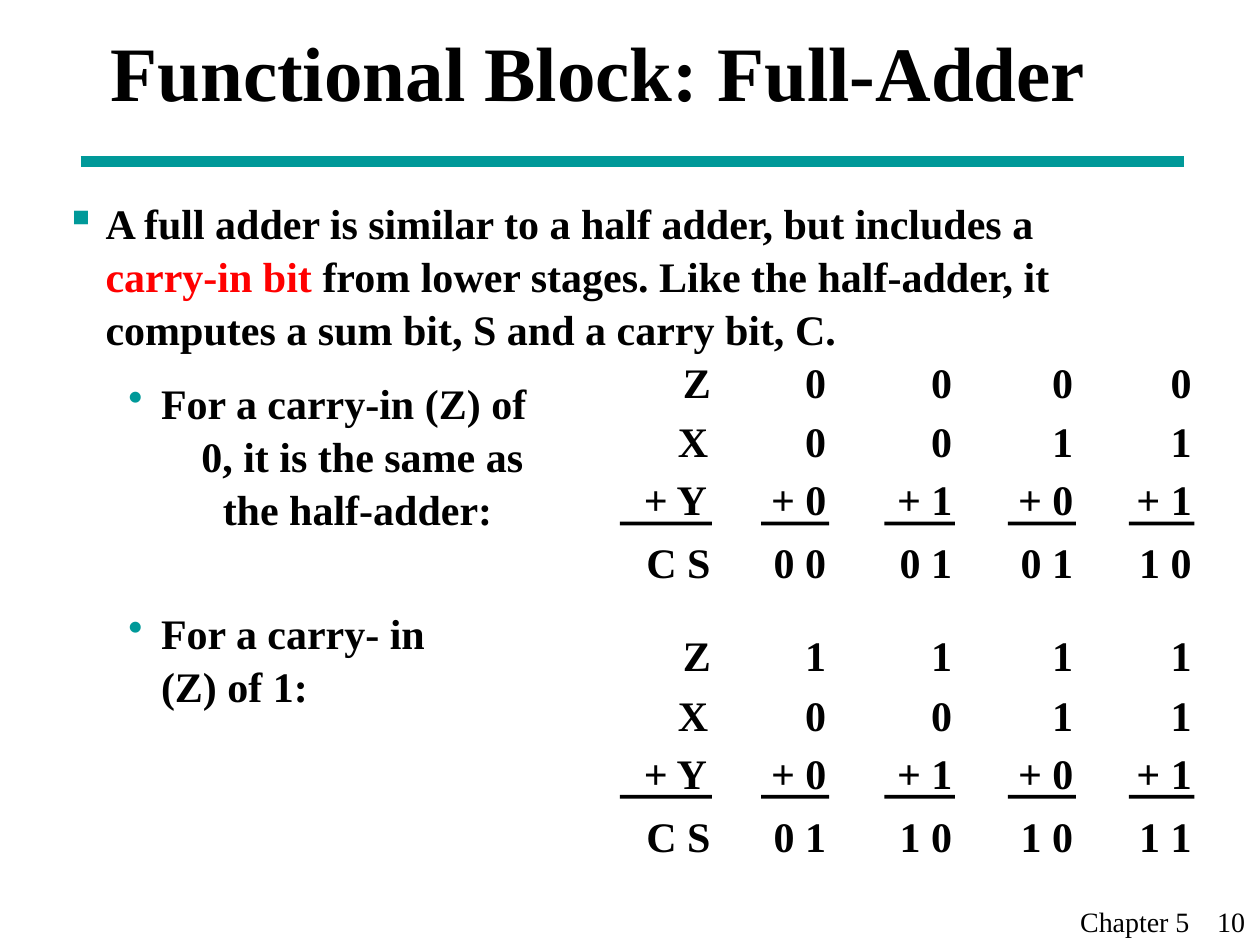
from pptx import Presentation
from pptx.util import Inches, Pt
from pptx.dml.color import RGBColor
from pptx.enum.shapes import MSO_CONNECTOR, MSO_SHAPE
from pptx.enum.text import MSO_ANCHOR, PP_ALIGN
from pptx.oxml.ns import qn
from lxml.etree import SubElement

FONT = "Times New Roman"
COLORS = {"ink": "000000", "teal": "009999", "red": "FF0000"}

TITLE = "Functional Block: Full-Adder"
FOOTER = [("Chapter 5", 8.21, 1.33), ("10", 9.54, 0.44)]

# text runs, bullet, left margin, hanging indent, space before, space after
BODY = [
    ([("A full adder is similar to a half adder, but includes a ", "ink"),
      ("carry-in bit ", "red"),
      ("from lower stages. Like the half-adder, it computes a sum bit, "
       "S and a carry bit, C.", "ink")], "▪", 0.32, 0.32, 0, 6),
    ([("For a carry-in (Z) of", "ink")], "•", 0.76, 0.26, 6, 0),
    ([("0, it is the same as", "ink")], None, 1.08, 0, 0, 0),
    ([("the half-adder:", "ink")], None, 1.25, 0, 0, 0),
    ([("For a carry- in\v(Z) of 1:", "ink")], "•", 0.76, 0.26, 41, 0),
]

SUMS = [
    (2.83, [["Z", "0", "0", "0", "0"],
            ["X", "0", "0", "1", "1"],
            ["+ Y", "+ 0", "+ 1", "+ 0", "+ 1"],
            ["C S", "0 0", "0 1", "0 1", "1 0"]]),
    (5.0, [["Z", "1", "1", "1", "1"],
           ["X", "0", "0", "1", "1"],
           ["+ Y", "+ 0", "+ 1", "+ 0", "+ 1"],
           ["C S", "0 1", "1 0", "1 0", "1 1"]]),
]
RIGHTS = [5.64, 6.56, 7.56, 8.52, 9.46]
RULES = [(4.92, 0.73), (6.04, 0.54), (7.02, 0.56), (8.0, 0.54), (8.96, 0.52)]
DROPS = [0, 0.47, 0.93, 1.43]
RULE_DROP = 1.31
WIDTHS = {"Z": 0.22, "X": 0.26, "+ Y": 0.53, "C S": 0.51}
DIGITS = {"1": 0.17, "2": 0.42, "+": 0.44}


def color(name):
    return RGBColor.from_string(COLORS[name])


def add_run(para, text, size, bold=True, tint="ink"):
    run = para.add_run()
    run.text = text
    font = run.font
    font.name, font.size, font.bold = FONT, Pt(size), bold
    font.color.rgb = color(tint)


def add_box(slide, left, top, width, height, wrap=True, inset=True):
    box = slide.shapes.add_textbox(Inches(left), Inches(top),
                                   Inches(width), Inches(height))
    frame = box.text_frame
    frame.word_wrap = wrap
    if not inset:
        frame.margin_left = frame.margin_right = 0
        frame.margin_top = frame.margin_bottom = 0
    return frame


def add_body(slide):
    frame = add_box(slide, 0.42, 1.5, 8.5, 5.17)
    for i, (runs, mark, left, hang, before, after) in enumerate(BODY):
        para = frame.add_paragraph() if i else frame.paragraphs[0]
        props = para._p.get_or_add_pPr()
        props.set("marL", str(Inches(left)))
        props.set("indent", str(-Inches(hang)))
        if mark:
            tint = SubElement(props, qn("a:buClr"))
            SubElement(tint, qn("a:srgbClr"), val=COLORS["teal"])
            SubElement(props, qn("a:buChar"), char=mark)
        else:
            SubElement(props, qn("a:buNone"))
        para.line_spacing = 1.05
        para.space_before, para.space_after = Pt(before), Pt(after)
        for text, tint in runs:
            for n, line in enumerate(text.split("\v")):
                if n:
                    para.add_line_break()
                add_run(para, line, 24, tint=tint)


def cell_width(text):
    if text in WIDTHS:
        return WIDTHS[text]
    if text[0] == "+":
        return DIGITS["+"]
    return DIGITS[str(len(text.split()))]


def add_sums(slide, top, rows):
    for drop, row in zip(DROPS, rows):
        for right, text in zip(RIGHTS, row):
            width = cell_width(text)
            frame = add_box(slide, right - width, top + drop, width, 0.4,
                            wrap=False, inset=False)
            add_run(frame.paragraphs[0], text, 24)
    for left, width in RULES:
        rule = slide.shapes.add_shape(
            MSO_SHAPE.RECTANGLE, Inches(left), Inches(top + RULE_DROP),
            Inches(width), Inches(0.03))
        rule.shadow.inherit = False
        rule.fill.solid()
        rule.fill.fore_color.rgb = color("ink")
        rule.line.fill.background()


def main():
    deck = Presentation()
    deck.slide_width, deck.slide_height = Inches(10), Inches(7.5)
    slide = deck.slides.add_slide(deck.slide_layouts[6])

    bar = slide.shapes.add_connector(MSO_CONNECTOR.STRAIGHT, Inches(0.64),
                                     Inches(1.28), Inches(9.4), Inches(1.28))
    bar.line.color.rgb = color("teal")
    bar.line.width = Pt(6)
    SubElement(bar._element.spPr, qn("a:effectLst"))

    for text, left, width in FOOTER:
        frame = add_box(slide, left, 7.13, width, 0.37, wrap=False)
        frame.paragraphs[0].alignment = PP_ALIGN.RIGHT
        add_run(frame.paragraphs[0], text, 16, bold=False)

    frame = add_box(slide, 0.78, 0, 8.5, 1.12)
    frame.vertical_anchor = MSO_ANCHOR.MIDDLE
    add_run(frame.paragraphs[0], TITLE, 44)

    add_body(slide)
    for top, rows in SUMS:
        add_sums(slide, top, rows)
    deck.save("out.pptx")


if __name__ == "__main__":
    main()
